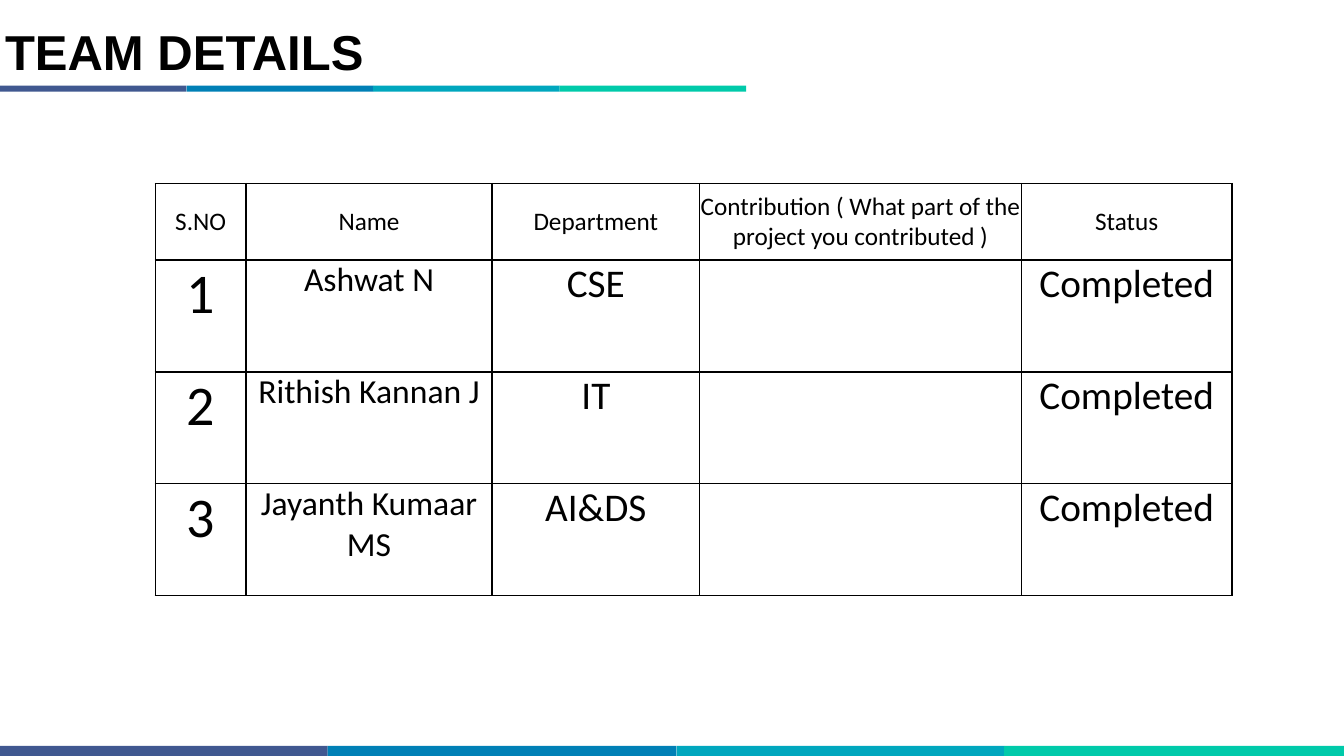
import pptx
import pptx.dml.color
import pptx.enum.shapes
import pptx.enum.text
import pptx.oxml
import pptx.oxml.ns
import pptx.util

Inches = pptx.util.Inches
ANCHOR = pptx.enum.text.MSO_ANCHOR
ALIGN = pptx.enum.text.PP_ALIGN

BAND_COLORS = ["405890", "0080B6", "00A7BE", "00CAAA"]
HEADER = ["S.NO", "Name", "Department",
          "Contribution ( What part of the project you contributed )", "Status"]
MEMBERS = [
    ["1", "Ashwat N", "CSE", "", "Completed"],
    ["2", "Rithish Kannan J", "IT", "", "Completed"],
    ["3", "Jayanth Kumaar MS", "AI&DS", "", "Completed"],
]
COLUMN_WIDTHS = [0.9, 2.44, 2.06, 3.19, 2.09]
ROW_HEIGHTS = [0.76, 1.11, 1.11, 1.11]
HEADER_SIZE = 18
BODY_SIZES = [40, 24, 28, 28, 28]


def rgb(value):
    return pptx.dml.color.RGBColor.from_string(value)


def apply(target, values):
    for name, value in values.items():
        setattr(target, name, value)


class TeamSlide:
    ink = "000000"
    paper = "FFFFFF"
    title_font = "Arial"
    table_font = "Calibri"

    def __init__(self, prs):
        self.s = prs.slides.add_slide(prs.slide_layouts.get_by_name("Title Only"))

    def add_text(self, tf, text, font, size, bold=False, **paragraph):
        p = tf.paragraphs[0]
        apply(p, paragraph)
        r = p.add_run()
        r.text = text
        apply(r.font, {"name": font, "size": pptx.util.Pt(size), "bold": bold})
        r.font.color.rgb = rgb(self.ink)

    def title(self, text, left, top, width, height):
        sp = self.s.shapes.title
        apply(sp, {"left": Inches(left), "top": Inches(top),
                   "width": Inches(width), "height": Inches(height)})
        tf = sp.text_frame
        apply(tf, {"vertical_anchor": ANCHOR.BOTTOM, "word_wrap": True,
                   "auto_size": pptx.enum.text.MSO_AUTO_SIZE.NONE})
        apply(tf, {f"margin_{side}": Inches(0.05)
                   for side in ("left", "top", "right", "bottom")})
        self.add_text(tf, text, self.title_font, 35, bold=True,
                      alignment=ALIGN.LEFT, line_spacing=0.9)

    def band(self, top, height, widths):
        """Draw a strip of adjoining coloured blocks from the left edge."""
        left = 0
        for width, color in zip(widths, BAND_COLORS):
            sp = self.s.shapes.add_shape(
                pptx.enum.shapes.MSO_SHAPE.RECTANGLE,
                Inches(left), Inches(top), Inches(width), Inches(height))
            sp.shadow.inherit = False
            sp.fill.solid()
            sp.fill.fore_color.rgb = rgb(color)
            sp.line.fill.background()
            left += width

    def borders(self, cell):
        tc_pr = cell._tc.get_or_add_tcPr()
        for side in "LRTB":
            tc_pr.append(pptx.oxml.parse_xml(
                f'<a:ln{side} {pptx.oxml.ns.nsdecls("a")} w="12700"><a:solidFill>'
                f'<a:srgbClr val="{self.ink}"/></a:solidFill></a:ln{side}>'))

    def cell(self, cell, text, size, anchor):
        apply(cell, {"margin_left": 0, "margin_right": 0, "margin_top": 0,
                     "margin_bottom": 0, "vertical_anchor": anchor})
        self.borders(cell)
        cell.fill.solid()
        cell.fill.fore_color.rgb = rgb(self.paper)
        if text:
            self.add_text(cell.text_frame, text, self.table_font, size,
                          alignment=ALIGN.CENTER)

    def table(self, left, top, rows):
        table = self.s.shapes.add_table(
            len(rows), len(COLUMN_WIDTHS), Inches(left), Inches(top),
            Inches(sum(COLUMN_WIDTHS)), Inches(sum(ROW_HEIGHTS))).table
        apply(table, {"first_row": False, "horz_banding": False})
        for column, width in zip(table.columns, COLUMN_WIDTHS):
            column.width = Inches(width)
        for i, (row, height) in enumerate(zip(table.rows, ROW_HEIGHTS)):
            row.height = Inches(height)
            for j, cell in enumerate(row.cells):
                size = BODY_SIZES[j] if i else HEADER_SIZE
                anchor = ANCHOR.TOP if i else ANCHOR.MIDDLE
                self.cell(cell, rows[i][j], size, anchor)


def main():
    prs = pptx.Presentation()
    apply(prs, {"slide_width": Inches(13.33), "slide_height": Inches(7.5)})
    slide = TeamSlide(prs)
    slide.band(7.4, 0.1, [3.25, 3.46, 3.25, 3.37])
    slide.band(0.85, 0.06, [1.85] * 4)
    slide.title("TEAM DETAILS", 0, 0, 8.37, 0.85)
    slide.table(1.54, 1.82, [HEADER] + MEMBERS)
    prs.save("out.pptx")


if __name__ == "__main__":
    main()
